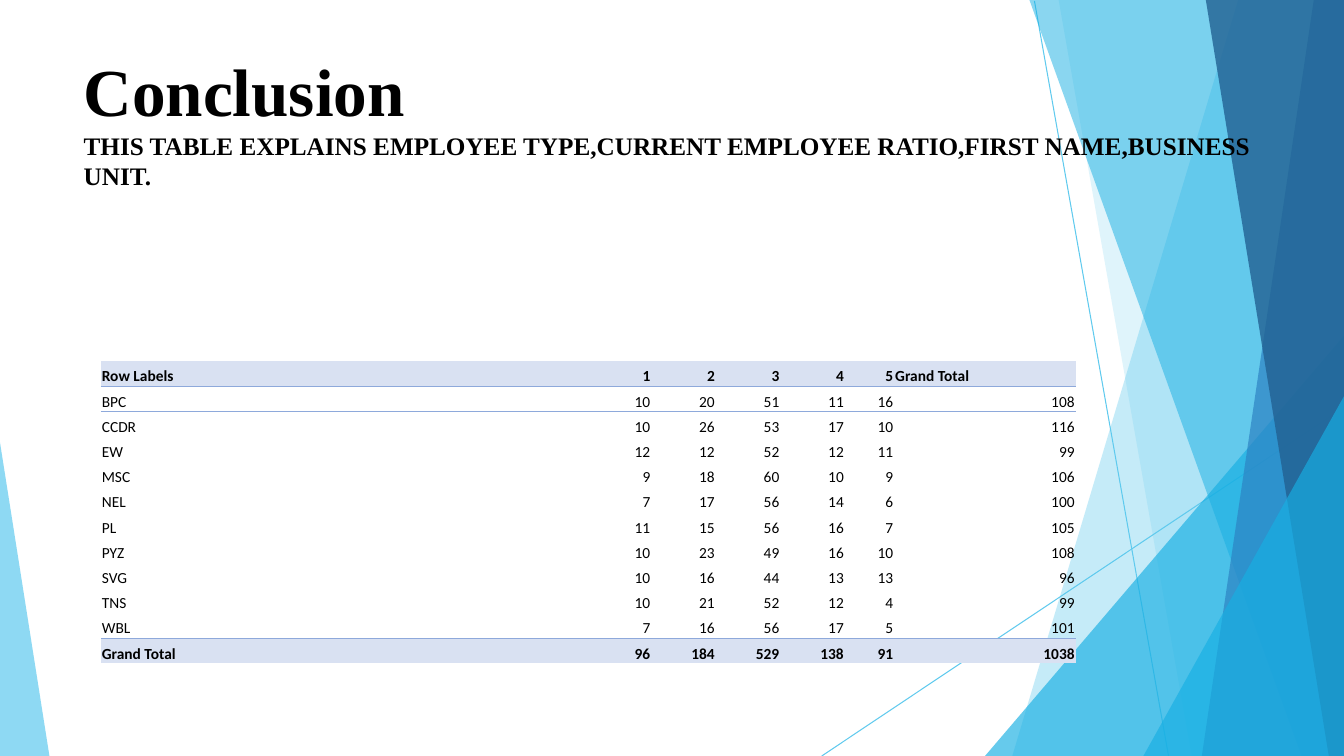
from lxml import etree
from pptx import Presentation
from pptx.dml.color import RGBColor
from pptx.enum.shapes import MSO_CONNECTOR
from pptx.enum.text import MSO_ANCHOR, PP_ALIGN
from pptx.oxml.ns import qn
from pptx.util import Inches, Pt

STRAIGHT = MSO_CONNECTOR.STRAIGHT
BOTTOM = MSO_ANCHOR.BOTTOM
LEFT, RIGHT = PP_ALIGN.LEFT, PP_ALIGN.RIGHT

BLACK = RGBColor(0x00, 0x00, 0x00)
SKY = RGBColor(0x5F, 0xCA, 0xEE)
CYAN = RGBColor(0x17, 0xAF, 0xE3)
BLUE = RGBColor(0x2D, 0x83, 0xC3)
NAVY = RGBColor(0x22, 0x61, 0x92)
BAND = RGBColor(0xD9, 0xE1, 0xF2)
RULE = RGBColor(0x8E, 0xA9, 0xDB)

W, H = 13.33, 7.5
NO_STYLE = "{2D5ABB26-0587-4C30-8999-92F81FD0307C}"

HEADLINE = "Conclusion"
SUBHEAD = ("THIS TABLE EXPLAINS EMPLOYEE TYPE,CURRENT EMPLOYEE RATIO,"
           "FIRST NAME,BUSINESS UNIT.")
TITLE_BOX = (0.83, 0.42, 11.68, 2.22)

RATINGS = [
    ("Row Labels", 1, 2, 3, 4, 5, "Grand Total"),
    ("BPC", 10, 20, 51, 11, 16, 108),
    ("CCDR", 10, 26, 53, 17, 10, 116),
    ("EW", 12, 12, 52, 12, 11, 99),
    ("MSC", 9, 18, 60, 10, 9, 106),
    ("NEL", 7, 17, 56, 14, 6, 100),
    ("PL", 11, 15, 56, 16, 7, 105),
    ("PYZ", 10, 23, 49, 16, 10, 108),
    ("SVG", 10, 16, 44, 13, 13, 96),
    ("TNS", 10, 21, 52, 12, 4, 99),
    ("WBL", 7, 16, 56, 17, 5, 101),
    ("Grand Total", 96, 184, 529, 138, 91, 1038),
]
COLUMN_WIDTHS = [2.9, 2.56, 0.64, 0.64, 0.64, 0.49, 1.8]
ROW_HEIGHT = 0.25
TABLE_LEFT, TABLE_TOP = 1, 3.58

RAYS = [(10.26, 0.01, 11.59, H), (W, 4.04, 8.15, H)]

# colour, opacity in percent, corners
FACETS = [
    (SKY, 36, [(W, 0), (12.28, 0), (10.04, H), (W, H)]),
    (SKY, 20, [(W, 0), (10.5, 0), (11.82, H), (W, H)]),
    (CYAN, 66, [(W, 3.33), (9.77, H), (W, H)]),
    (CYAN, 50, [(W, 0), (10.21, 0), (12.91, H), (W, H)]),
    (BLUE, 70, [(W, 0), (13.03, 0), (11.92, H), (W, H)]),
    (NAVY, 80, [(W, 0), (11.96, 0), (13.18, H), (W, H)]),
    (CYAN, 66, [(W, 3.93), (11.34, H), (W, H)]),
    (SKY, 70, [(0, 4.39), (0, H), (0.49, H)]),
]


def style_font(font, **values):
    font.color.rgb = BLACK
    for name, value in values.items():
        setattr(font, name, value)


def add_ray(slide, ends):
    ray = slide.shapes.add_connector(STRAIGHT, *map(Inches, ends))
    ray.line.color.rgb = SKY
    ray.line.width = Pt(0.75)
    etree.SubElement(ray._element.spPr, qn("a:effectLst"))


def add_facet(slide, color, opacity, corners):
    start, *rest = [(Inches(x), Inches(y)) for x, y in corners]
    builder = slide.shapes.build_freeform(*start)
    builder.add_line_segments(rest, close=True)
    facet = builder.convert_to_shape()
    facet.shadow.inherit = False
    facet.line.fill.background()
    facet.fill.solid()
    facet.fill.fore_color.rgb = color
    tint = facet._element.spPr.find(".//" + qn("a:srgbClr"))
    etree.SubElement(tint, qn("a:alpha"), val=str(opacity * 1000))


def add_title(slide):
    frame = slide.shapes.add_textbox(*map(Inches, TITLE_BOX)).text_frame
    frame.word_wrap = True
    frame.margin_left = frame.margin_right = frame.margin_bottom = 0
    frame.margin_top = Inches(0.07)
    title = frame.paragraphs[0]
    for text, size in ((HEADLINE, 48), (SUBHEAD, 18)):
        if title.runs:
            title.add_line_break()
        run = title.add_run()
        run.text = text
        style_font(run.font, name="Times New Roman", size=Pt(size), bold=True)


def add_rule(cell, side):
    """Draw one cell border; side is 'T' or 'B'."""
    border = etree.Element(qn("a:ln" + side), w=str(Pt(0.5)))
    fill = etree.SubElement(border, qn("a:solidFill"))
    etree.SubElement(fill, qn("a:srgbClr"), val=str(RULE))
    cell._tc.get_or_add_tcPr().insert(0, border)


def fill_cell(cell, value, banded):
    cell.vertical_anchor = BOTTOM
    cell.margin_left = cell.margin_right = cell.margin_top = Inches(0.01)
    cell.margin_bottom = 0
    if banded:
        cell.fill.solid()
        cell.fill.fore_color.rgb = BAND
    else:
        cell.fill.background()
    entry = cell.text_frame.paragraphs[0]
    entry.alignment = LEFT if isinstance(value, str) else RIGHT
    run = entry.add_run()
    run.text = str(value)
    style_font(run.font, name="Calibri", size=Pt(11), bold=banded)


def add_ratings(slide):
    last = len(RATINGS) - 1
    rules = {0: "B", 1: "T", last - 1: "B", last: "T"}
    table = slide.shapes.add_table(
        len(RATINGS), len(COLUMN_WIDTHS), Inches(TABLE_LEFT), Inches(TABLE_TOP),
        Inches(sum(COLUMN_WIDTHS)), Inches(ROW_HEIGHT * len(RATINGS))).table
    table.first_row = table.horz_banding = False
    table._tbl.tblPr.find(qn("a:tableStyleId")).text = NO_STYLE
    for column, width in zip(table.columns, COLUMN_WIDTHS):
        column.width = Inches(width)
    for r, values in enumerate(RATINGS):
        table.rows[r].height = Inches(ROW_HEIGHT)
        for c, value in enumerate(values):
            cell = table.cell(r, c)
            fill_cell(cell, value, banded=r in (0, last))
            if r in rules:
                add_rule(cell, rules[r])


def main():
    deck = Presentation()
    deck.slide_width, deck.slide_height = Inches(W), Inches(H)
    slide = deck.slides.add_slide(deck.slide_layouts[6])
    for ends in RAYS:
        add_ray(slide, ends)
    for facet in FACETS:
        add_facet(slide, *facet)
    add_title(slide)
    add_ratings(slide)
    deck.save("out.pptx")


if __name__ == "__main__":
    main()
